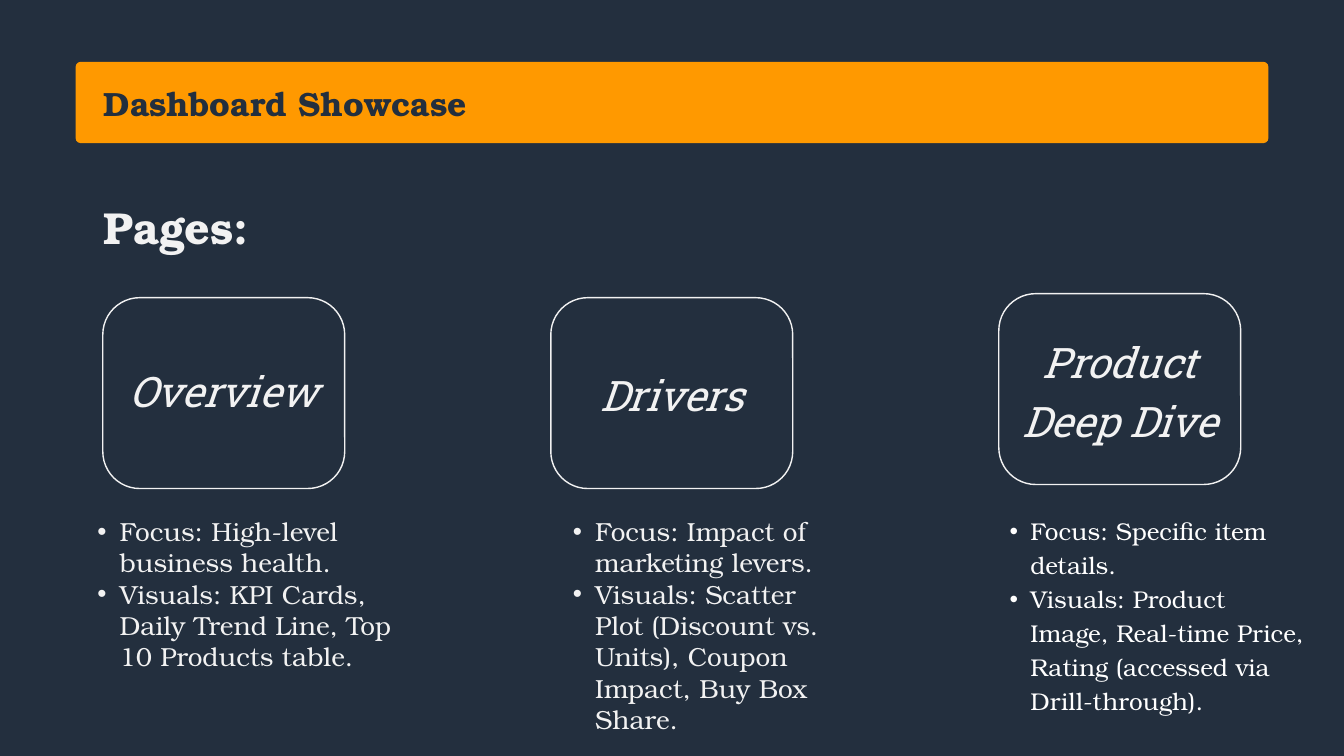
from typing import NamedTuple

from lxml.etree import SubElement
from pptx import Presentation
from pptx.dml.color import RGBColor
from pptx.enum.shapes import MSO_SHAPE as SHAPE
from pptx.enum.text import MSO_ANCHOR as ANCHOR, MSO_AUTO_SIZE as AUTO, PP_ALIGN as ALIGN
from pptx.oxml.ns import qn
from pptx.util import Inches, Pt

NAVY = RGBColor(0x23, 0x2F, 0x3E)
ORANGE = RGBColor(0xFF, 0x99, 0x00)
PALE = RGBColor(0xF2, 0xF2, 0xF2)
WHITE = RGBColor(0xFF, 0xFF, 0xFF)
SERIF, SLAB = "TeX Gyre Bonum", "Roboto Slab"
WIDTH, HEIGHT = Inches(20), Inches(11.25)
CELL = WIDTH / 200


class Box(NamedTuple):
    """A rectangle in cells of the 200-column slide grid."""
    x: float
    y: float
    w: float
    h: float

    def inner(self, dx, dy, w, h):
        """Return a box offset from this one's corner."""
        return Box(self.x + dx, self.y + dy, w, h)

    def emu(self):
        """Return the rectangle in slide units."""
        return [round(v * CELL) for v in self]


class Style(NamedTuple):
    """The look of a piece of text."""
    font: str
    size: float
    leading: float
    color: RGBColor
    bold: bool = False
    italic: bool = False


class Page(NamedTuple):
    """One dashboard page: its label, bullets and local adjustments."""
    label: str
    bullets: tuple
    card_y: float
    label_dy: float
    label_h: float
    body: Box
    indent: float
    style: Style


TITLE = Style(SERIF, 36, 43.2, NAVY, bold=True)
HEADING = Style(SERIF, 48, 57.6, PALE, bold=True)
LABEL = Style(SLAB, 45, 63.1, PALE, italic=True)
BODY = Style(SERIF, 28, 33.6, PALE)
SMALL = Style(SERIF, 26, 36.4, WHITE)

PAGES = [
    Page("Overview",
         ("Focus: High-level business health.",
          "Visuals: KPI Cards, Daily Trend Line, Top 10 Products table."),
         44.3, 8.8, 8.5, Box(-4.1, 76.7, 47.9, 27.5), 0.33, BODY),
    Page("Drivers",
         ("Focus: Impact of marketing levers.",
          "Visuals: Scatter Plot (Discount vs. Units), Coupon Impact, Buy Box Share."),
         44.3, 9.4, 8.5, Box(0, 76.7, 42.4, 27.5), 0.33, BODY),
    Page("Product Deep Dive",
         ("Focus: Specific item details.",
          "Visuals: Product Image, Real-time Price, Rating (accessed via Drill-through)."),
         43.7, 5.1, 17.3, Box(-1.5, 76.1, 47.3, 29.8), 0.31, SMALL),
]


def prepare_frame(sp):
    """Give a shape's text frame no margins, top anchoring and wrapping."""
    tf = sp.text_frame
    tf.margin_left = tf.margin_top = tf.margin_right = tf.margin_bottom = 0
    tf.vertical_anchor = ANCHOR.TOP
    tf.auto_size = AUTO.NONE
    tf.word_wrap = True
    return tf


def write(p, text, style, align=ALIGN.LEFT):
    """Write one styled run into a paragraph."""
    p.alignment = align
    p.line_spacing = Pt(style.leading)
    p.space_before = p.space_after = Pt(0)
    r = p.add_run()
    r.text = text
    font = r.font
    font.name, font.size = style.font, Pt(style.size)
    font.bold, font.italic = style.bold, style.italic
    font.color.rgb = style.color


def add_text(s, box, text, style, align=ALIGN.LEFT):
    """Add a single-paragraph text box."""
    tf = prepare_frame(s.shapes.add_textbox(*box.emu()))
    write(tf.paragraphs[0], text, style, align)


def add_bullets(s, box, items, indent, style):
    """Add a text box of second-level bullets."""
    tf = prepare_frame(s.shapes.add_textbox(*box.emu()))
    for i, item in enumerate(items):
        p = tf.add_paragraph() if i else tf.paragraphs[0]
        p.level = 1
        ppr = p._p.get_or_add_pPr()
        ppr.set("marL", str(Inches(2 * indent)))
        ppr.set("indent", str(-Inches(indent)))
        SubElement(ppr, qn("a:buFont"), typeface="Arial")
        SubElement(ppr, qn("a:buChar"), char="•")
        write(p, item, style)


def add_rounded(s, box, radius):
    """Add a rounded rectangle with the given corner radius in cells."""
    sp = s.shapes.add_shape(SHAPE.ROUNDED_RECTANGLE, *box.emu())
    sp.adjustments[0] = radius / box.h
    sp.shadow.inherit = False
    return sp


def add_banner(s, box):
    """Place the title on its orange banner."""
    sp = add_rounded(s, box, 0.75)
    sp.fill.solid()
    sp.fill.fore_color.rgb = ORANGE
    sp.line.fill.background()
    title = s.shapes.title
    title.left, title.top, title.width, title.height = box.inner(4.2, 3.1, 116.3, 6).emu()
    write(prepare_frame(title).paragraphs[0], "Dashboard Showcase", TITLE)
    tree = s.shapes._spTree
    tree.remove(title._element)
    tree.append(title._element)


def add_page(s, box, page):
    """Place a labelled card and its bullets in a column."""
    card = box.inner(0, page.card_y, 36, 28.4)
    sp = add_rounded(s, card, 5.5)
    sp.fill.background()
    sp.line.color.rgb = PALE
    sp.line.width = Pt(1.5)
    add_text(s, card.inner(0, page.label_dy, card.w, page.label_h),
             page.label, LABEL, ALIGN.CENTER)
    add_bullets(s, box.inner(*page.body), page.bullets, page.indent, page.style)


def main():
    """Build and save the slide."""
    prs = Presentation()
    prs.slide_width, prs.slide_height = WIDTH, HEIGHT
    s = prs.slides.add_slide(prs.slide_layouts[5])
    s.background.fill.solid()
    s.background.fill.fore_color.rgb = NAVY
    add_banner(s, Box(11.25, 9.2, 177.5, 12.1))
    add_text(s, Box(15.4, 29.7, 49.4, 8), "Pages:", HEADING)
    pitch = 200 / len(PAGES)
    for i, page in enumerate(PAGES):
        add_page(s, Box(15.3 + i * pitch, 0, pitch, 112.5), page)
    prs.save("out.pptx")


if __name__ == "__main__":
    main()
